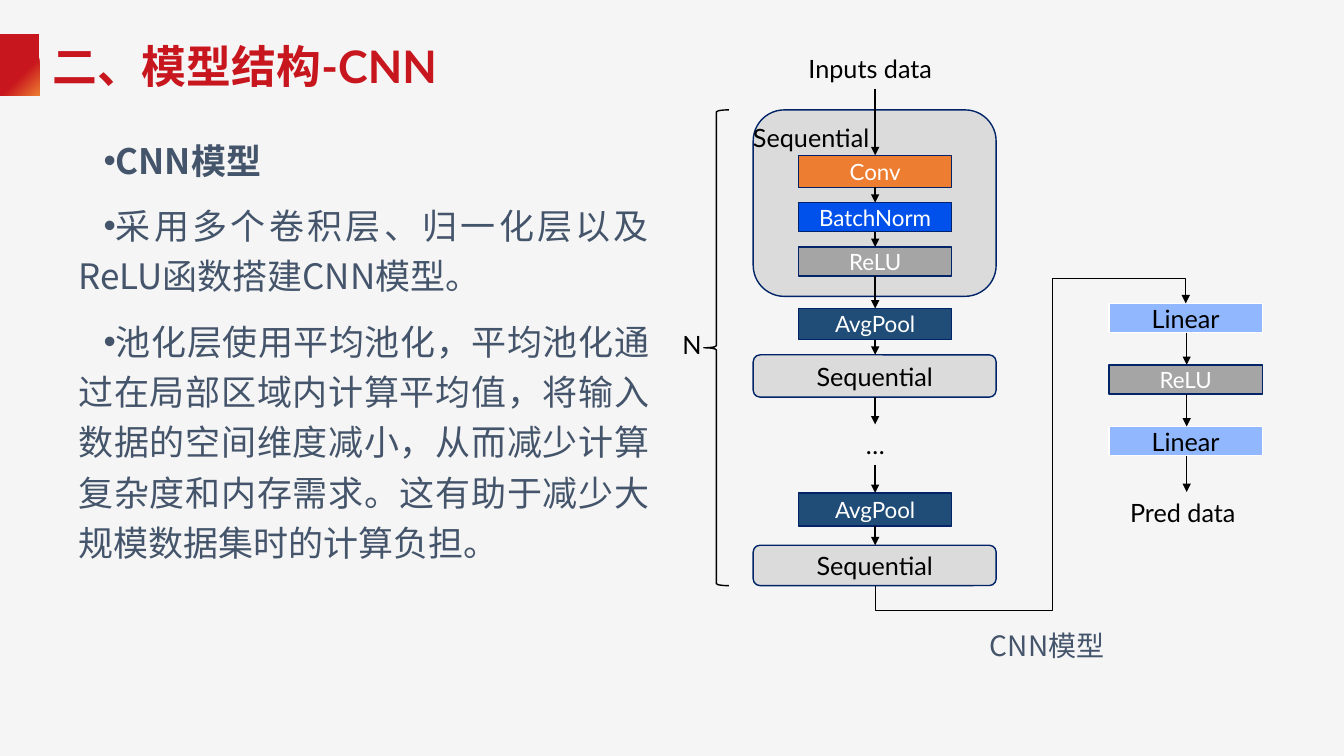
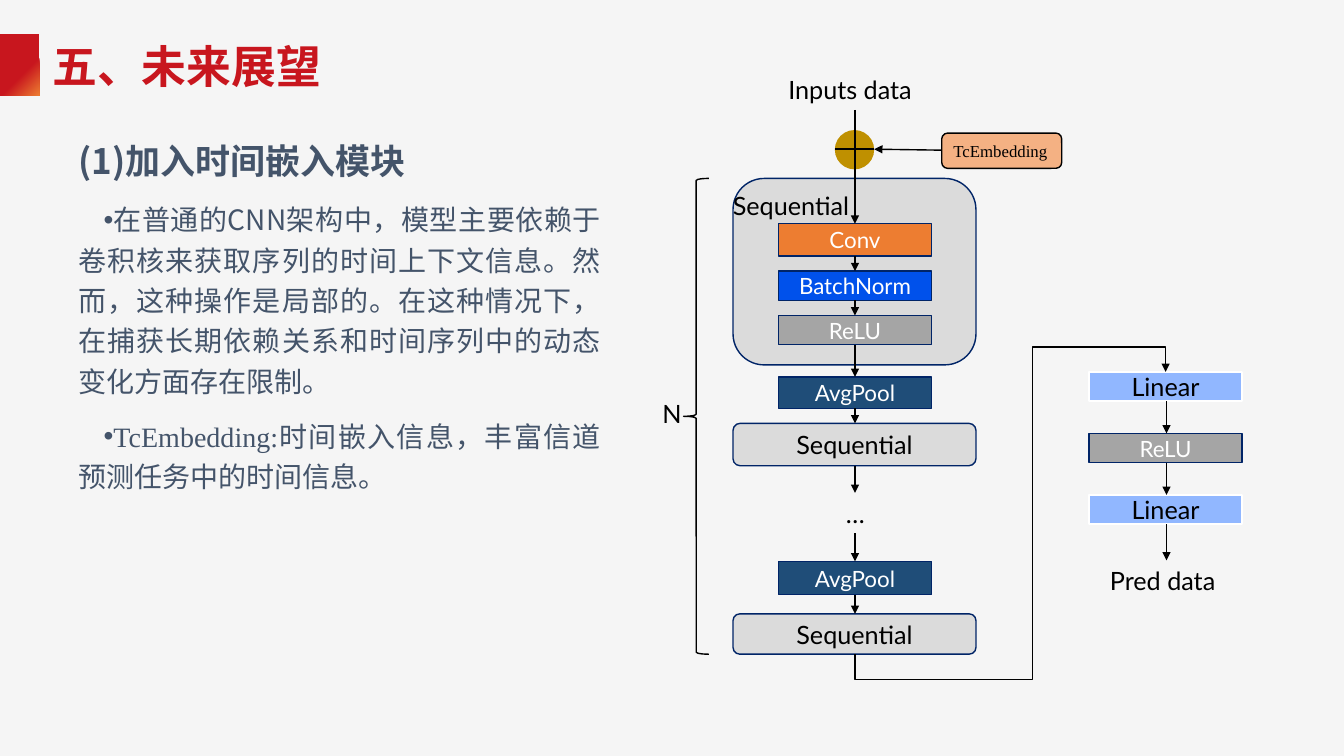
from dataclasses import dataclass
from itertools import pairwise

from lxml import etree
from pptx import Presentation
from pptx import util as u
from pptx.dml.color import RGBColor
from pptx.enum import shapes, text
from pptx.oxml.ns import qn

SCALE = 9144  # EMU in one px, 100 px to the inch
HUES = {
    "page": "F5F5F5", "red": "C8161E", "orange": "ED7D31", "slate": "44546A",
    "silver": "DBDBDB", "navy": "002467", "blue": "0051EB", "gray": "A5A5A5",
    "teal": "1F4D78", "sky": "91B7FF", "gold": "BF9000", "peach": "F4B183",
    "black": "000000", "white": "FFFFFF",
}
LATO, NOTO, TIMES = "Lato", "Noto Sans CJK SC", "Times New Roman"
KIND = shapes.MSO_SHAPE
ALIGN = text.PP_ALIGN


@dataclass(frozen=True)
class Look:
    fill: str | None
    line: str | None
    ink: str = "white"
    size: int = 16
    form: int = KIND.RECTANGLE
    font: str = LATO


@dataclass(frozen=True)
class Step:
    label: str
    top: int
    high: int
    look: Look | None = None  # None makes a plain label
    left: int = 792
    wide: int = 152
    align: int = ALIGN.CENTER


@dataclass(frozen=True)
class Para:
    runs: tuple[tuple[str, str], ...]
    size: int
    bold: bool = False
    bullet: bool = True


CONV = Look("orange", "navy")
NORM = Look("blue", "navy")
RELU = Look("gray", "navy")
POOL = Look("teal", "navy")
LINEAR = Look("sky", "white", "black", 18)
GROUP = Look("silver", "navy", "black", 18, KIND.ROUNDED_RECTANGLE)
BRACE = Look(None, "black", form=KIND.LEFT_BRACE)
JOIN = Look("gold", None, form=KIND.OVAL)
EMBED = Look("peach", "black", "black", 12, KIND.ROUNDED_RECTANGLE, TIMES)

# The two columns of the network, from top to bottom
MAIN = (
    Step("Conv", 154, 32, CONV),
    Step("BatchNorm", 201, 29, NORM),
    Step("ReLU", 245, 29, RELU),
    Step("AvgPool", 306, 31, POOL),
    Step("Sequential", 352, 42, GROUP, 747, 241),
    Step("…", 421, 40, None, 849, 38),
    Step("AvgPool", 489, 33, POOL),
    Step("Sequential", 541, 40, GROUP, 747, 241),
)
HEAD = (
    Step("Linear", 301, 29, LINEAR, 1100),
    Step("ReLU", 362, 29, RELU, 1100),
    Step("Linear", 423, 29, LINEAR, 1100),
    Step("Pred data", 488, 40, None, 1111, 130, ALIGN.LEFT),
)


def px(n: int) -> u.Emu:
    return u.Emu(n * SCALE)


def hue(name: str) -> RGBColor:
    return RGBColor.from_string(HUES[name])


def style(font, size: int, ink: str, name: str, bold: bool = False) -> None:
    font.size, font.bold = u.Pt(size), bold
    font.color.rgb = hue(ink)
    font.name = name
    etree.SubElement(font._element, qn("a:ea"), typeface=NOTO)


def write(frame, label: str, size: int, ink: str, name: str,
          align: int = ALIGN.LEFT, bold: bool = False) -> None:
    frame.text = label
    para = frame.paragraphs[0]
    para.alignment = align
    style(para.runs[0].font, size, ink, name, bold)


def shape(slide, look: Look, x: int, y: int, w: int, h: int,
          label: str = "", align: int = ALIGN.CENTER):
    item = slide.shapes.add_shape(look.form, px(x), px(y), px(w), px(h))
    item.shadow.inherit = False
    if look.fill:
        item.fill.solid()
        item.fill.fore_color.rgb = hue(look.fill)
    else:
        item.fill.background()
    if look.line:
        item.line.color.rgb = hue(look.line)
        item.line.width = u.Pt(1)
    else:
        item.line.fill.background()
    if label:
        item.text_frame.vertical_anchor = text.MSO_ANCHOR.MIDDLE
        write(item.text_frame, label, look.size, look.ink, look.font, align)
    return item


def box(slide, x: int, y: int, w: int, h: int, wrap: bool = True):
    frame = slide.shapes.add_textbox(px(x), px(y), px(w), px(h)).text_frame
    frame.word_wrap = wrap
    return frame


def note(slide, label: str, x: int, y: int, w: int, h: int = 40,
         align: int = ALIGN.LEFT, wrap: bool = True) -> None:
    write(box(slide, x, y, w, h, wrap), label, 18, "black", LATO, align)


def line(slide, x1: int, y1: int, x2: int, y2: int, arrow: bool = True,
         kind: int = shapes.MSO_CONNECTOR.STRAIGHT):
    item = slide.shapes.add_connector(kind, px(x1), px(y1), px(x2), px(y2))
    item.line.color.rgb = hue("black")
    item.line.width = u.Pt(1)
    part = item._element.spPr
    if arrow:
        etree.SubElement(part.find(qn("a:ln")), qn("a:tailEnd"), type="triangle")
    etree.SubElement(part, qn("a:effectLst"))
    return item


def bend(slide, x: int, y: int) -> None:
    """Five-part elbow from the last group up to the first linear layer."""
    item = line(slide, x + 280, y + 308, x, y, kind=shapes.MSO_CONNECTOR.ELBOW)
    item._element.spPr.find(qn("a:xfrm")).set("rot", "5400000")
    geom = item._element.spPr.find(qn("a:prstGeom"))
    geom.set("prst", "bentConnector5")
    vals = geom.find(qn("a:avLst"))
    if vals is None:
        vals = etree.SubElement(geom, qn("a:avLst"))
    for i, val in enumerate((-8900, 57200, 108900), 1):
        etree.SubElement(vals, qn("a:gd"), name=f"adj{i}", fmla=f"val {val}")


def chain(slide, steps: tuple[Step, ...], dx: int, dy: int, mid: int) -> None:
    for s in steps:
        x, y = s.left + dx, s.top + dy
        if s.look:
            shape(slide, s.look, x, y, s.wide, s.high, s.label, s.align)
        else:
            note(slide, s.label, x, y, s.wide, s.high, s.align, s.wide > 40)
    for a, b in pairwise(steps):
        line(slide, mid + dx, a.top + a.high + dy, mid + dx, b.top + dy)


def network(slide, dx: int = 0, dy: int = 0, start: int = 48) -> None:
    shape(slide, GROUP, 747 + dx, 109 + dy, 241, 185)
    first = Step("Inputs data", start - dy, 40, align=ALIGN.LEFT)
    chain(slide, (first, *MAIN), dx, dy, 868)
    chain(slide, HEAD, dx, dy, 1177)
    bend(slide, 882 + dx, 287 + dy)
    brace = shape(slide, BRACE, 698 + dx, 109 + dy, 25, 472)
    brace.adjustments[0], brace.adjustments[1] = 0.08, 0.5
    note(slide, "N", 667 + dx, 322 + dy, 39, wrap=False)
    note(slide, "Sequential", 737 + dx, 116 + dy, 146)


def body(slide, wide: int, paras: tuple[Para, ...]) -> None:
    frame = box(slide, 42, 125, wide, 546)
    for i, p in enumerate(paras):
        para = frame.paragraphs[0] if i == 0 else frame.add_paragraph()
        para.alignment = ALIGN.JUSTIFY
        para.line_spacing = 1.2
        if i:
            para.space_before = u.Pt(10.6)
        props = para._p.get_or_add_pPr()
        props.set("marL", str(px(26)))
        props.set("indent", str(px(25 if p.bullet else 0)))
        if p.bullet:
            etree.SubElement(props, qn("a:buFont"), typeface="Arial")
            etree.SubElement(props, qn("a:buChar"), char="•")
        for words, name in p.runs:
            run = para.add_run()
            run.text = words
            style(run.font, p.size, "slate", name, p.bold)


def page(deck, title: str):
    slide = deck.slides.add_slide(deck.slide_layouts[6])
    slide.background.fill.solid()
    slide.background.fill.fore_color.rgb = hue("page")
    # Red tab at the left edge
    tab = shape(slide, Look("red", None), 0, 34, 39, 61)
    tab.fill.gradient()
    tab.fill.gradient_angle = 315
    for stop, spot, name in zip(tab.fill.gradient_stops, (0.62, 1), ("red", "orange")):
        stop.position = spot
        stop.color.rgb = hue(name)
    # Title
    frame = box(slide, 42, 29, 978, 72)
    frame.vertical_anchor = text.MSO_ANCHOR.MIDDLE
    write(frame, title, 32, "red", LATO, bold=True)
    return slide


def model(deck) -> None:
    slide = page(deck, "二、模型结构-CNN")
    body(slide, 612, (
        Para((("CNN模型", NOTO),), 25, True),
        Para((("采用多个卷积层、归一化层以及ReLU函数搭建CNN模型。", NOTO),), 25),
        Para((("池化层使用平均池化，平均池化通过在局部区域内计算平均值，"
               "将输入数据的空间维度减小，从而减少计算复杂度和内存需求。"
               "这有助于减少大规模数据集时的计算负担。", NOTO),), 25),
    ))
    write(box(slide, 972, 619, 204, 44), "CNN模型", 20, "slate", NOTO)
    network(slide)


def future(deck) -> None:
    slide = page(deck, "五、未来展望")
    body(slide, 564, (
        Para((("(1)加入时间嵌入模块", NOTO),), 25, True, False),
        Para((("在普通的CNN架构中，模型主要依赖于卷积核来获取序列的时间上下文信息。"
               "然而，这种操作是局部的。在这种情况下，在捕获长期依赖关系和"
               "时间序列中的动态变化方面存在限制。", NOTO),), 20),
        Para((("TcEmbedding:", TIMES),
              ("时间嵌入信息，丰富信道预测任务中的时间信息。", NOTO)), 20),
    ))
    # Time embedding joins the input
    shape(slide, JOIN, 828, 129, 39, 39)
    network(slide, -20, 68, 69)
    line(slide, 934, 149, 867, 148)
    shape(slide, EMBED, 934, 132, 119, 35, "TcEmbedding", ALIGN.JUSTIFY)
    line(slide, 828, 148, 867, 148, arrow=False)


def main() -> None:
    deck = Presentation()
    deck.slide_width, deck.slide_height = px(1333), px(750)
    model(deck)
    future(deck)
    deck.save("out.pptx")


if __name__ == "__main__":
    main()
